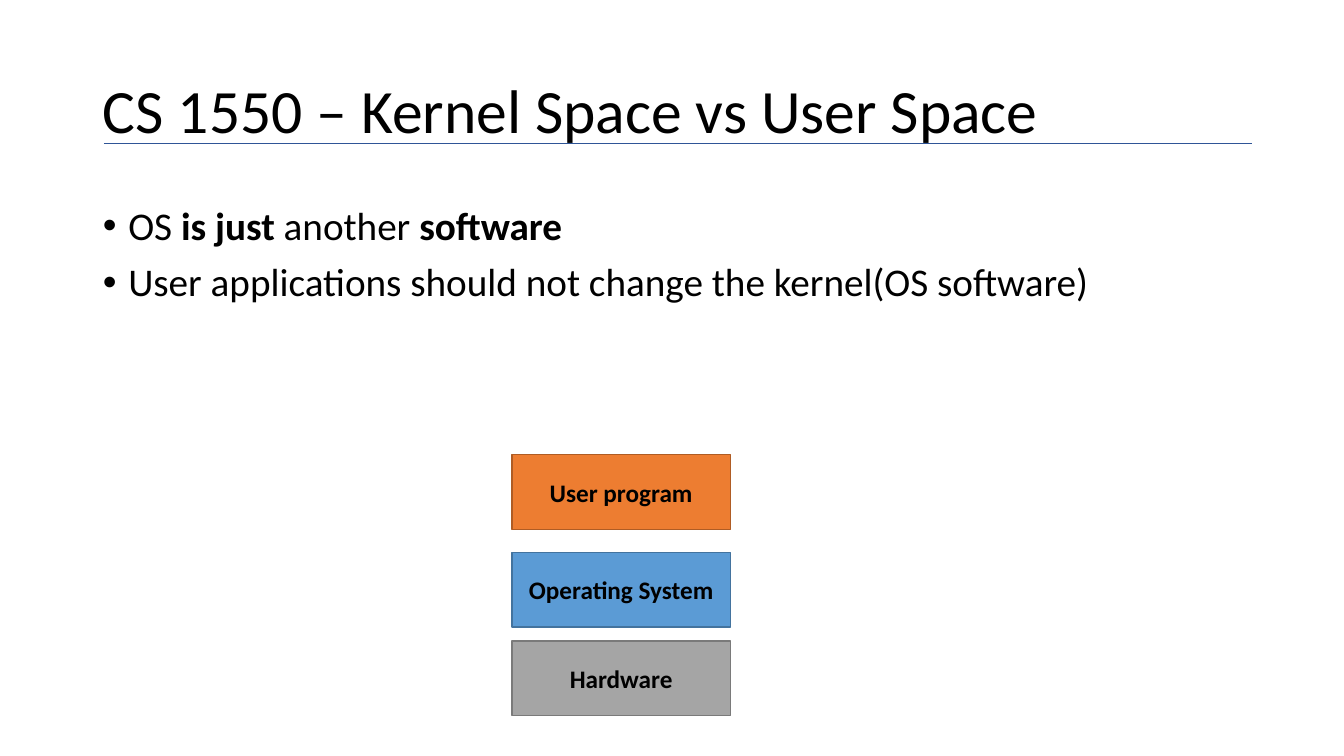
import pptx
import pptx.dml.color
import pptx.enum.shapes
import pptx.enum.text
import pptx.oxml
import pptx.oxml.ns
import pptx.util
from pptx.util import Cm, Pt

FONT = "Calibri"
COLORS = {
    "text": "000000", "rule": "2F5597",
    "user": "ED7D31", "user edge": "AF5C24",
    "system": "5B9BD5", "system edge": "43739E",
    "hardware": "A5A5A5", "hardware edge": "7A7A7A",
}
HEADING = "CS 1550 – Kernel Space vs User Space"
# Each point is a list of (words, bold) pieces.
POINTS = [
    [("OS ", False), ("is just ", True), ("another ", False), ("software", True)],
    [("User applications should not change the kernel(OS software)", False)],
]
# Label, colour key, gap below the layer
LAYERS = [
    ("User program", "user", Cm(0.58)),
    ("Operating System", "system", Cm(0.35)),
    ("Hardware", "hardware", Cm(0)),
]
MARGIN, CONTENT_WIDTH = Cm(2.34), Cm(29.21)
LAYER_LEFT, STACK_TOP = Cm(12.9), Cm(11.46)
LAYER_WIDTH, LAYER_HEIGHT = Cm(5.51), Cm(1.88)


def rgb(key):
    return pptx.dml.color.RGBColor.from_string(COLORS[key])


def style(font, size, bold=False):
    font.name, font.size, font.bold = FONT, Pt(size), bold
    font.color.rgb = rgb("text")


def place(holder, top, height, anchor):
    holder.left, holder.top = MARGIN, top
    holder.width, holder.height = CONTENT_WIDTH, height
    frame = holder.text_frame
    frame.word_wrap = True
    frame.auto_size = pptx.enum.text.MSO_AUTO_SIZE.NONE
    frame.vertical_anchor = anchor
    return frame


def add_bullet(paragraph):
    properties = paragraph._p.get_or_add_pPr()
    indent = Cm(0.64)
    properties.set("marL", str(indent))
    properties.set("indent", str(-indent))
    namespace = pptx.oxml.ns.nsdecls("a")
    for tag in ('buFont typeface="Arial"', 'buChar char="•"'):
        properties.append(pptx.oxml.parse_xml(f"<a:{tag} {namespace}/>"))


def fill_heading(title):
    frame = place(title, Cm(1.02), Cm(3.68), pptx.enum.text.MSO_ANCHOR.MIDDLE)
    frame.text = HEADING
    paragraph = frame.paragraphs[0]
    paragraph.alignment = pptx.enum.text.PP_ALIGN.LEFT
    paragraph.line_spacing = 0.9
    style(paragraph.runs[0].font, 44)


def fill_points(body):
    frame = place(body, Cm(5.08), Cm(5.33), pptx.enum.text.MSO_ANCHOR.TOP)
    for number, pieces in enumerate(POINTS):
        paragraph = frame.add_paragraph() if number else frame.paragraphs[0]
        add_bullet(paragraph)
        paragraph.line_spacing = 0.9
        paragraph.space_before = Pt(10 if number else 0)
        for words, bold in pieces:
            run = paragraph.add_run()
            run.text = words
            style(run.font, 28, bold)


def add_heading_rule(shapes):
    rule = shapes.add_connector(
        pptx.enum.shapes.MSO_CONNECTOR.STRAIGHT, Cm(2.62), Cm(3.61), Cm(31.55), Cm(3.61))
    rule.line.color.rgb = rgb("rule")
    rule.line.width = Pt(0.5)
    rule._element.spPr.append(
        pptx.oxml.parse_xml(f"<a:effectLst {pptx.oxml.ns.nsdecls('a')}/>"))


def add_layers(shapes):
    top = STACK_TOP
    for label, key, gap in LAYERS:
        layer = shapes.add_shape(
            pptx.enum.shapes.MSO_SHAPE.RECTANGLE, LAYER_LEFT, top, LAYER_WIDTH, LAYER_HEIGHT)
        layer.shadow.inherit = False
        layer.fill.solid()
        layer.fill.fore_color.rgb = rgb(key)
        layer.line.color.rgb = rgb(f"{key} edge")
        layer.line.width = Pt(1)
        frame = layer.text_frame
        frame.text = label
        frame.word_wrap = True
        frame.vertical_anchor = pptx.enum.text.MSO_ANCHOR.MIDDLE
        frame.paragraphs[0].alignment = pptx.enum.text.PP_ALIGN.CENTER
        style(frame.paragraphs[0].runs[0].font, 18, True)
        top += LAYER_HEIGHT + gap


def main():
    deck = pptx.Presentation()
    deck.slide_width, deck.slide_height = Cm(33.87), Cm(19.05)
    slide = deck.slides.add_slide(deck.slide_layouts[1])
    fill_heading(slide.shapes.title)
    fill_points(slide.placeholders[1])
    add_heading_rule(slide.shapes)
    add_layers(slide.shapes)
    deck.save("out.pptx")


if __name__ == "__main__":
    main()
